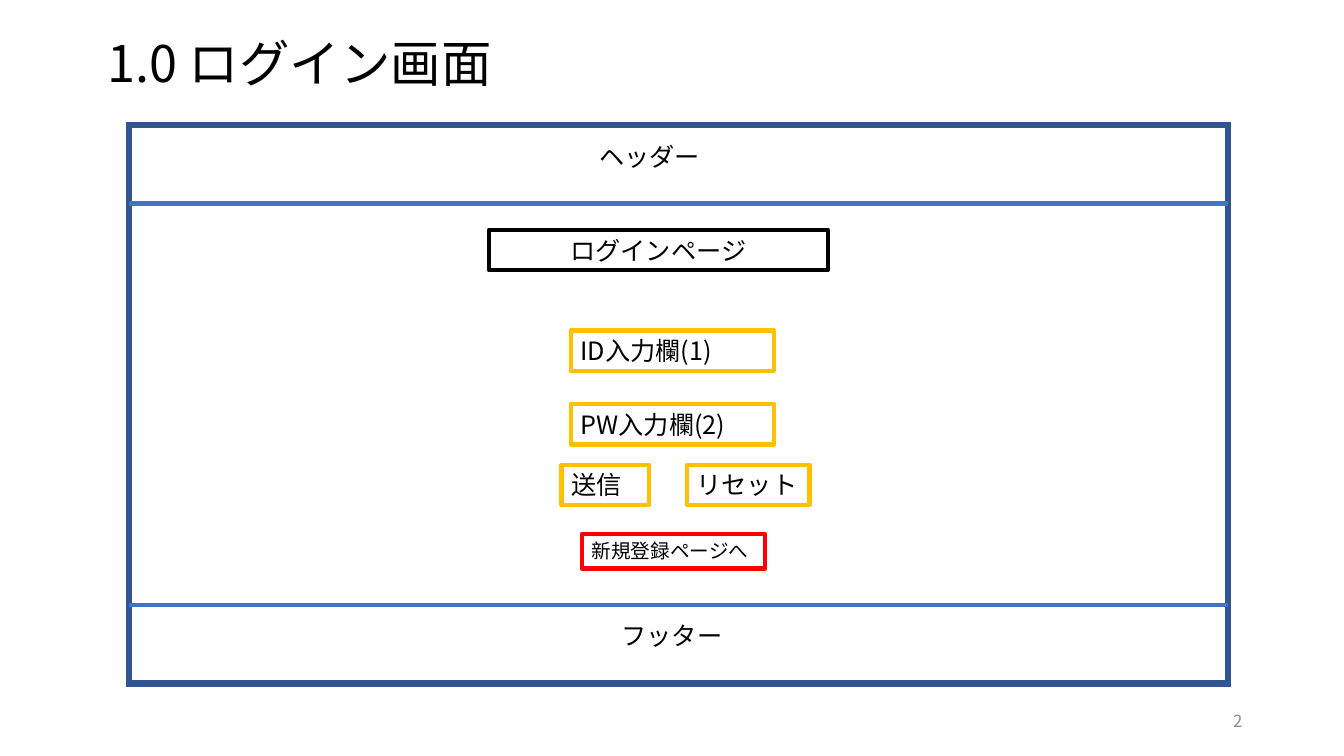
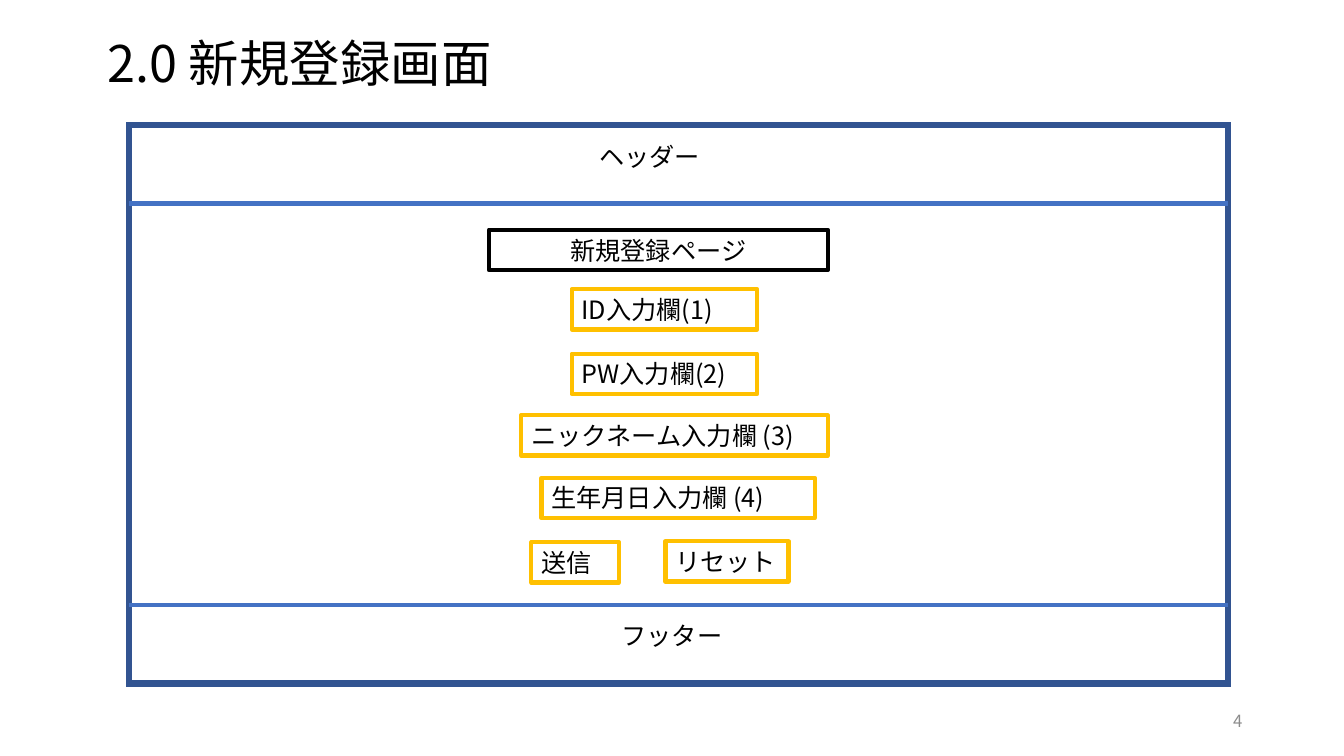
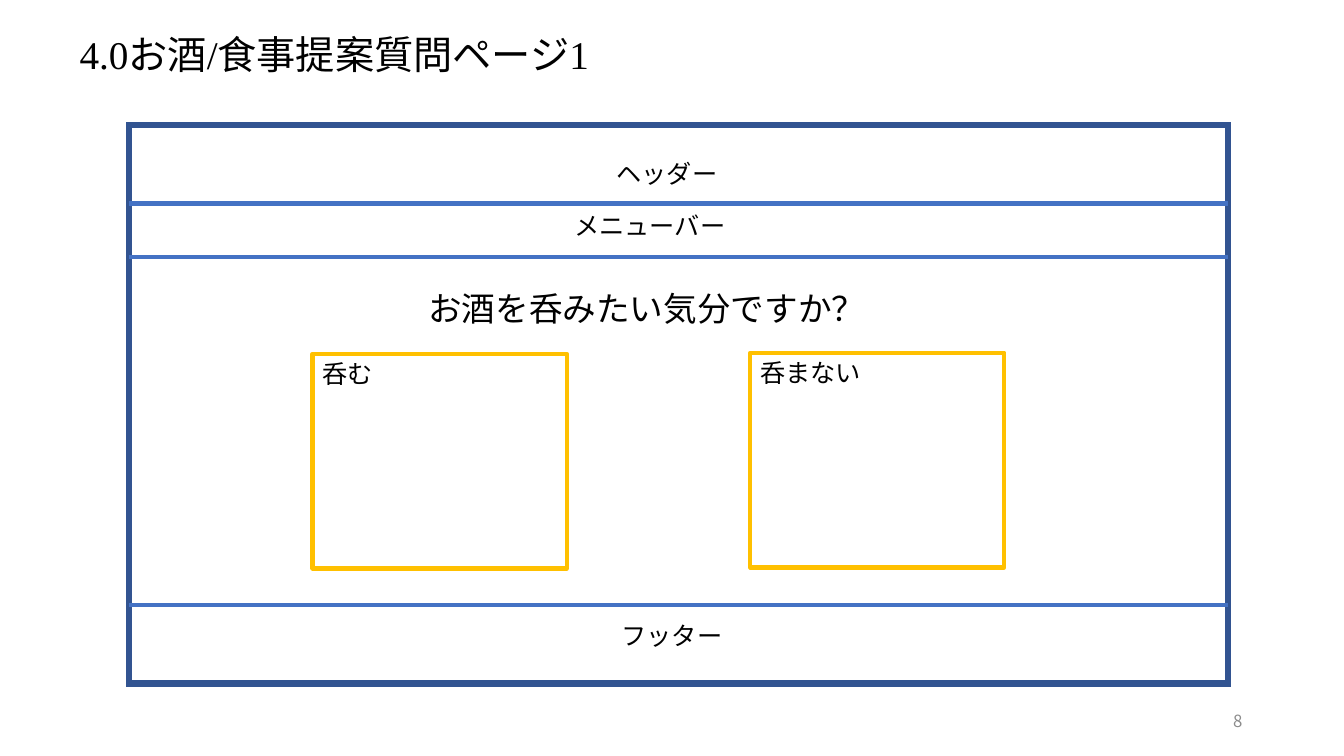
from lxml import etree
from pptx import Presentation, util as u
from pptx.dml.color import RGBColor
from pptx.enum import shapes, text
from pptx.oxml.ns import qn

PX = 9144
SANS = "Noto Sans CJK JP"
SERIF = "Times New Roman"
HUES = {"frame": "325491", "rule": "4472C4", "field": "FFC000",
        "link": "FF0000", "ink": "000000", "page": "8C8C8C"}
LEFT, CENTER, RIGHT = text.PP_ALIGN.LEFT, text.PP_ALIGN.CENTER, text.PP_ALIGN.RIGHT
TOP, MIDDLE = text.MSO_ANCHOR.TOP, text.MSO_ANCHOR.MIDDLE
LINE = 40


def px(*sizes):
    return [u.Emu(size * PX) for size in sizes]


class Deck:
    """Wireframe deck: shared style and the current slide."""

    def __init__(self):
        self.prs = Presentation()
        self.prs.slide_width, self.prs.slide_height = px(1333, 750)

    def hue(self, name):
        return RGBColor.from_string(HUES[name])

    def fill(self, shape, words, size=18, font=SANS, hue="ink", align=LEFT, anchor=TOP):
        frame = shape.text_frame
        frame.word_wrap = True
        frame.vertical_anchor = anchor
        para = frame.paragraphs[0]
        para.alignment = align
        run = para.add_run()
        run.text = words
        run.font.size = u.Pt(size)
        run.font.name = font
        run.font.color.rgb = self.hue(hue)
        east = etree.SubElement(run.font._element, qn("a:ea"))
        east.set("typeface", SANS)

    def label(self, words, left, top, width, height=LINE, **style):
        box = self.slide.shapes.add_textbox(*px(left, top, width, height))
        self.fill(box, words, **style)

    def box(self, left, top, width, height, hue="field", weight=3):
        shape = self.slide.shapes.add_shape(
            shapes.MSO_SHAPE.RECTANGLE, *px(left, top, width, height))
        shape.shadow.inherit = False
        shape.fill.background()
        shape.line.color.rgb = self.hue(hue)
        shape.line.width = u.Pt(weight)
        return shape

    def field(self, words, left, top, width, height=LINE, hue="field", **style):
        self.fill(self.box(left, top, width, height, hue), words, **style)

    def rule(self, top):
        line = self.slide.shapes.add_connector(
            shapes.MSO_CONNECTOR.STRAIGHT, *px(128, top, 1218, top))
        line.line.color.rgb = self.hue("rule")
        line.line.width = u.Pt(3)
        etree.SubElement(line._element.spPr, qn("a:effectLst"))

    def head(self, words):
        self.field(words, 485, 228, 336, hue="ink", align=CENTER, anchor=MIDDLE)

    def send(self, left, top, reset, rise=0):
        self.field("送信", left, top, 87)
        self.field("リセット", reset, top - rise, 122)

    def title(self, words, left=97, top=27, width=482, height=101, size=36, font=SANS):
        self.label(words, left, top, width, height, size=size, font=font)

    def page(self, number, left=436, top=135):
        self.slide = self.prs.slides.add_slide(self.prs.slide_layouts[6])
        frame = self.box(128, 124, 1090, 554, "frame", 4.5)
        miter = etree.SubElement(frame.line._ln, qn("a:miter"))
        miter.set("lim", "800000")
        self.rule(202)
        self.rule(600)
        self.label("ヘッダー", left, top, 417, align=CENTER)
        self.label("フッター", 458, 610, 417, align=CENTER)
        self.label(number, 942, 695, 300, size=12, hue="page", align=RIGHT, anchor=MIDDLE)


def login(deck):
    deck.page("2")
    deck.title("1.0 ログイン画面")
    deck.head("ログインページ")
    for row, words in enumerate(["ID入力欄(1)", "PW入力欄(2)"]):
        deck.field(words, 566, 328 + 73 * row, 202)
    deck.send(557, 461, 681)
    deck.field("新規登録ページへ", 577, 530, 182, 34, "link", size=14)


def signup(deck):
    deck.page("4")
    deck.title("2.0 新規登録画面")
    deck.head("新規登録ページ")
    for words, left, top, width in [
        ("ID入力欄(1)", 567, 287, 184),
        ("PW入力欄(2)", 567, 351, 184),
        ("ニックネーム入力欄 (3)", 517, 412, 304),
        ("生年月日入力欄 (4)", 537, 474, 271),
    ]:
        deck.field(words, left, top, width)
    deck.send(527, 538, 660, rise=1)


def query(deck):
    deck.page("8", 453, 152)
    deck.title("4.0お酒/食事提案質問ページ1", 69, 25, 618, 88, 28, SERIF)
    deck.label("メニューバー", 436, 204, 417, align=CENTER)
    deck.rule(255)
    deck.label("お酒を呑みたい気分ですか？", 415, 281, 460, 50, size=24)
    deck.field("呑む", 310, 351, 252, 213)
    deck.field("呑まない", 744, 350, 252, 213)


def main():
    deck = Deck()
    for build in (login, signup, query):
        build(deck)
    deck.prs.save("out.pptx")


if __name__ == "__main__":
    main()
